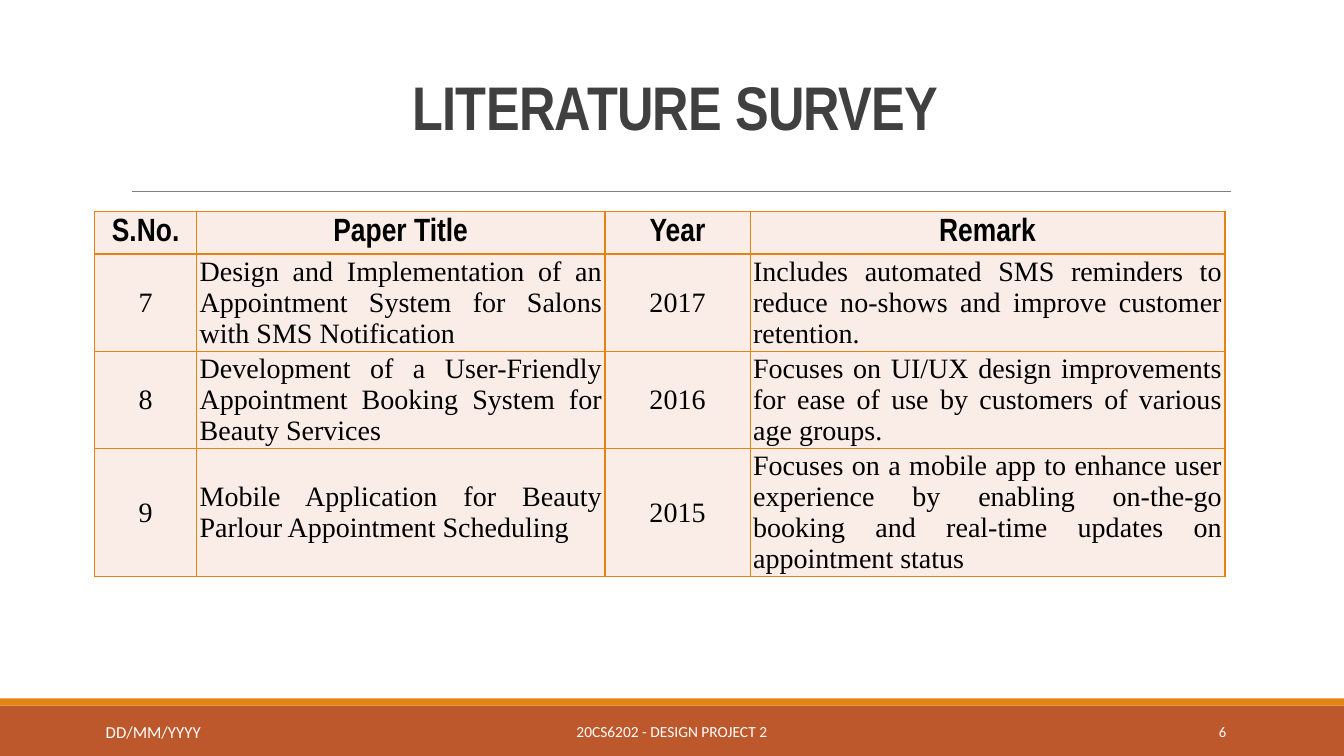
from dataclasses import dataclass

from lxml.etree import SubElement
from pptx import Presentation
from pptx.dml.color import RGBColor
from pptx.enum.shapes import MSO_CONNECTOR, MSO_SHAPE
from pptx.enum.text import MSO_ANCHOR, PP_ALIGN
from pptx.oxml.ns import qn
from pptx.util import Pt

TITLE = "LITERATURE SURVEY"
HEADER = ("S.No.", "Paper Title", "Year", "Remark")
PAPERS = [
    ("7", "Design and Implementation of an Appointment System for Salons with SMS Notification",
     "2017", "Includes automated SMS reminders to reduce no-shows and improve customer retention."),
    ("8", "Development of a User-Friendly Appointment Booking System for Beauty Services",
     "2016", "Focuses on UI/UX design improvements for ease of use by customers of various age groups."),
    ("9", "Mobile Application for Beauty Parlour Appointment Scheduling",
     "2015", "Focuses on a mobile app to enhance user experience by enabling on-the-go booking "
     "and real-time updates on appointment status"),
]
COLUMN_WIDTHS = (101, 405, 144, 471)
ROW_HEIGHTS = (42, 96, 96, 127)
COLUMN_ALIGNS = (PP_ALIGN.CENTER, PP_ALIGN.JUSTIFY, PP_ALIGN.CENTER, PP_ALIGN.JUSTIFY)
TABLE_LEFT, TABLE_TOP = 94, 210
CELL_INSET_X, CELL_INSET_Y = 3, 2
SLIDE_SIZE = (1333, 750)
PX = 9144


@dataclass(frozen=True)
class Theme:
    footer: str = "BD582C"
    accent: str = "E48312"
    rule: str = "808080"
    cell: str = "FAEDE7"
    title: str = "404040"
    ink: str = "000000"
    light: str = "FFFFFF"
    heading_font: str = "Arial Narrow"
    body_font: str = "Times New Roman"
    footer_font: str = "Calibri"
    title_size: float = 44
    header_size: float = 23
    body_size: float = 20
    date_size: float = 12
    course_size: float = 11
    number_size: float = 10.5


THEME = Theme()
FOOTERS = [
    ("20CS6202 - DESIGN PROJECT 2", (403, 706, 527, 40), PP_ALIGN.CENTER, THEME.course_size),
    ("6", (1083, 706, 143, 40), PP_ALIGN.RIGHT, THEME.number_size),
    ("DD/MM/YYYY", (95, 711, 259, 30), PP_ALIGN.LEFT, THEME.date_size),
]


def px(*lengths):
    return [length * PX for length in lengths]


def write(frame, text, align, font, size, color, bold=False):
    frame.text = text
    para = frame.paragraphs[0]
    para.alignment = align
    span = para.runs[0]
    span.font.name = font
    span.font.size = Pt(size)
    span.font.bold = bold
    span.font.color.rgb = RGBColor.from_string(color)
    return para


def add_bar(page, area, color):
    bar = page.shapes.add_shape(MSO_SHAPE.RECTANGLE, *px(*area))
    bar.shadow.inherit = False
    bar.fill.solid()
    bar.fill.fore_color.rgb = RGBColor.from_string(color)
    bar.line.fill.background()


def add_rule(page, ends):
    rule = page.shapes.add_connector(MSO_CONNECTOR.STRAIGHT, *px(*ends))
    rule.line.color.rgb = RGBColor.from_string(THEME.rule)
    rule.line.width = Pt(0.5)
    SubElement(rule._element.spPr, qn("a:effectLst"))


def add_text(page, area, text, align, font, size, color, bold=False):
    box = page.shapes.add_textbox(*px(*area))
    frame = box.text_frame
    frame.word_wrap = True
    frame.vertical_anchor = MSO_ANCHOR.MIDDLE
    return write(frame, text, align, font, size, color, bold)


def style_cell(cell):
    cell.vertical_anchor = MSO_ANCHOR.MIDDLE
    cell.margin_left = cell.margin_right = CELL_INSET_X * PX
    cell.margin_top = cell.margin_bottom = CELL_INSET_Y * PX
    properties = cell._tc.get_or_add_tcPr()
    for side in ("lnL", "lnR", "lnT", "lnB"):
        border = SubElement(properties, qn(f"a:{side}"), w=str(Pt(1)))
        SubElement(SubElement(border, qn("a:solidFill")), qn("a:srgbClr"), val=THEME.accent)
    cell.fill.solid()
    cell.fill.fore_color.rgb = RGBColor.from_string(THEME.cell)


def add_survey(page):
    rows = [HEADER, *PAPERS]
    area = px(TABLE_LEFT, TABLE_TOP, sum(COLUMN_WIDTHS), sum(ROW_HEIGHTS))
    survey = page.shapes.add_table(len(rows), len(HEADER), *area).table
    survey.horz_banding = False
    for column, width in zip(survey.columns, COLUMN_WIDTHS):
        column.width = width * PX
    for row, height, texts in zip(survey.rows, ROW_HEIGHTS, rows):
        row.height = height * PX
        for cell, text, align in zip(row.cells, texts, COLUMN_ALIGNS):
            style_cell(cell)
            if texts is HEADER:
                write(cell.text_frame, text, PP_ALIGN.CENTER, THEME.heading_font,
                      THEME.header_size, THEME.ink, True)
            else:
                write(cell.text_frame, text, align, THEME.body_font, THEME.body_size, THEME.ink)


def main():
    deck = Presentation()
    deck.slide_width, deck.slide_height = px(*SLIDE_SIZE)
    page = deck.slides.add_slide(deck.slide_layouts[6])
    add_bar(page, (0, 700, 1333, 50), THEME.footer)
    add_bar(page, (0, 693, 1333, 7), THEME.accent)
    add_rule(page, (131, 190, 1221, 190))
    add_survey(page)
    title = add_text(page, (120, 31, 1100, 159), TITLE, PP_ALIGN.CENTER, THEME.heading_font,
                     THEME.title_size, THEME.title, True)
    title.line_spacing = 0.85
    title.runs[0].font._element.set("spc", "-50")
    for text, area, align, size in FOOTERS:
        add_text(page, area, text, align, THEME.footer_font, size, THEME.light)
    deck.save("out.pptx")


if __name__ == "__main__":
    main()
